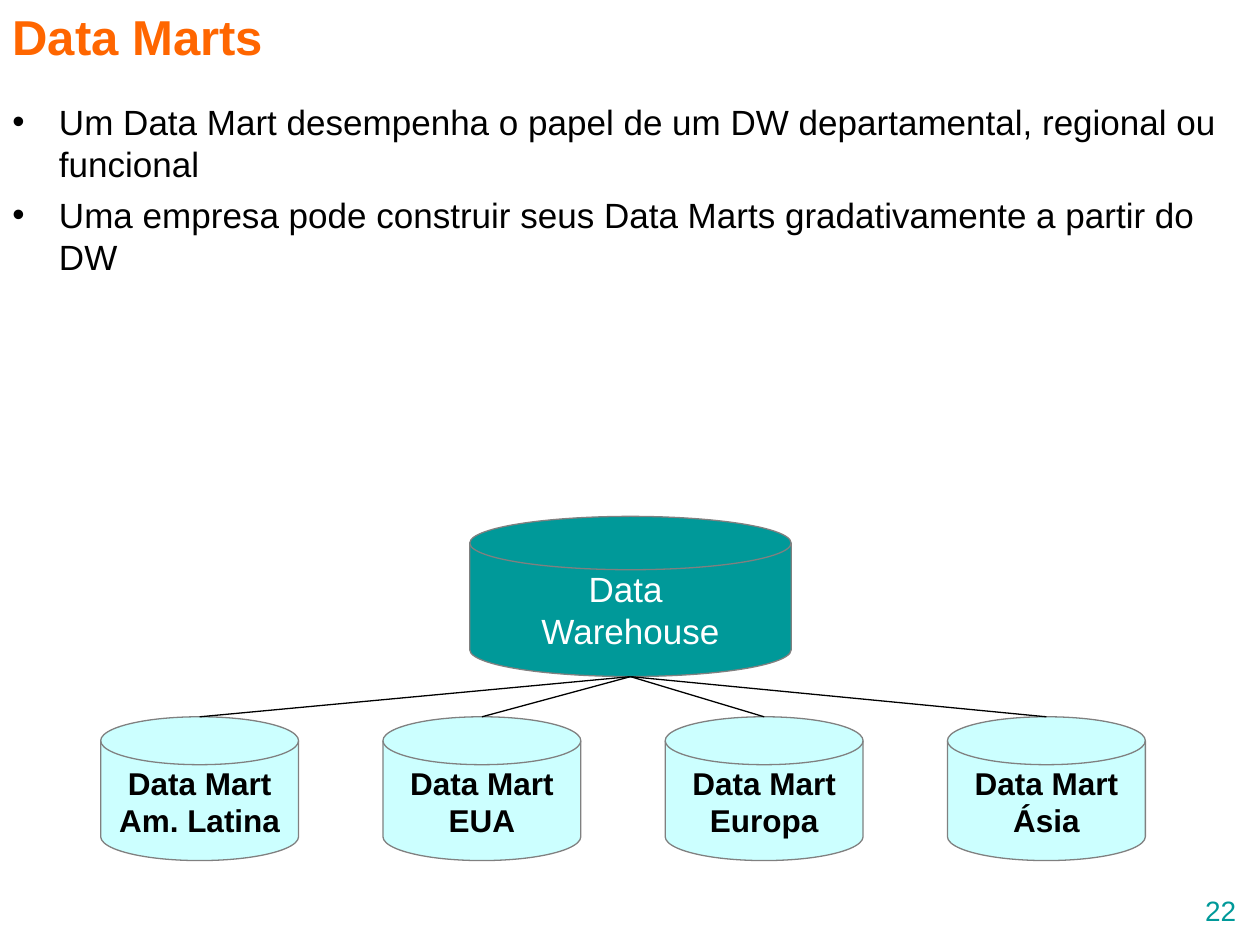
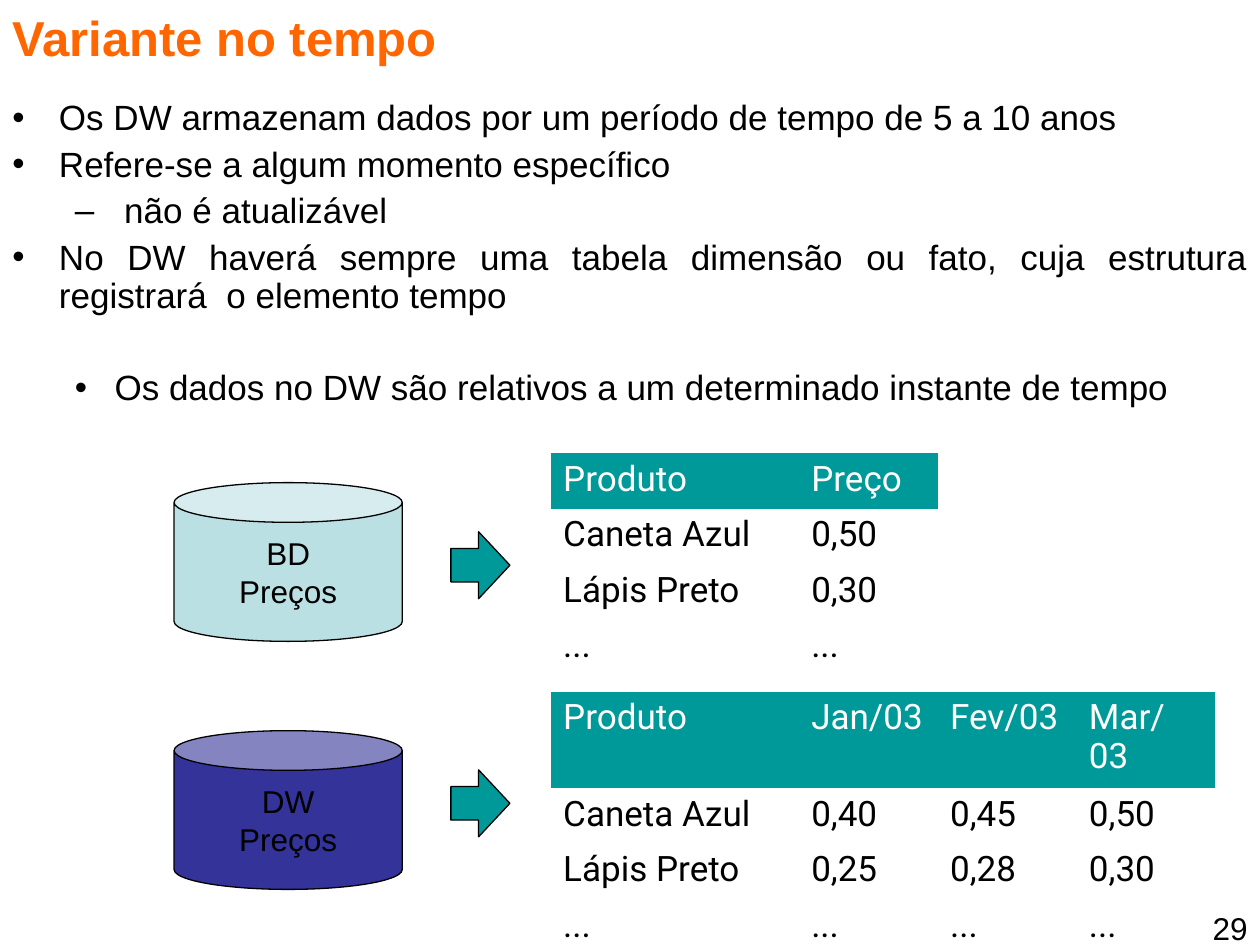
"""Build two slides on data marts and time-variant data warehouses."""
from lxml import etree
from pptx import Presentation
from pptx import util as u
from pptx.dml.color import RGBColor
from pptx.enum import shapes, text
from pptx.oxml.ns import qn

ORANGE, TEAL, BLACK, WHITE, GREY = "FF6600", "009999", "000000", "FFFFFF", "808080"
PALE, LIGHT, NAVY = "CCFFFF", "BBE0E3", "333399"
LEFT, CENTER, RIGHT, JUSTIFY = (text.PP_ALIGN.LEFT, text.PP_ALIGN.CENTER,
                                text.PP_ALIGN.RIGHT, text.PP_ALIGN.JUSTIFY)
DISK = shapes.MSO_SHAPE.FLOWCHART_MAGNETIC_DISK
CAN, ARROW = shapes.MSO_SHAPE.CAN, shapes.MSO_SHAPE.RIGHT_ARROW
PLAIN_TABLE = "{2D5ABB26-0587-4C30-8999-92F81FD0307C}"

TITLE = dict(name="Arial", size=28, color=ORANGE, bold=True)
BODY = dict(name="Arial", size=20, color=BLACK, bold=False)
CELL = dict(BODY, name="Roboto")
LABEL = dict(BODY, size=18)
BULLETS = {"•": (0.94, -0.94), "–": (2.06, -0.8), "••": (2.06, -0.8)}

MART_POINTS = [
    ("•", "Um Data Mart desempenha o papel de um DW departamental, regional ou funcional", 5),
    ("•", "Uma empresa pode construir seus Data Marts gradativamente a partir do DW", 5),
]
REGIONS = ["Am. Latina", "EUA", "Europa", "Ásia"]
TIME_POINTS = [
    ("•", "Os DW armazenam dados por um período de tempo de 5 a 10 anos", 5),
    ("•", "Refere-se a algum momento específico", 5),
    ("–", " não é atualizável", 5),
    ("•", "No DW haverá sempre uma tabela dimensão ou fato, cuja estrutura "
          "registrará  o elemento tempo", 5),
    ("••", "Os dados no DW são relativos a um determinado instante de tempo", 31.5),
]
PRICES = [
    ("Produto", "Preço"),
    ("Caneta Azul", "0,50"),
    ("Lápis Preto", "0,30"),
    ("...", "..."),
]
PRICE_HISTORY = [
    ("Produto", "Jan/03", "Fev/03", "Mar/03"),
    ("Caneta Azul", "0,40", "0,45", "0,50"),
    ("Lápis Preto", "0,25", "0,28", "0,30"),
    ("...", "...", "...", "..."),
]
STORES = [
    dict(label="BD\nPreços", fill=LIGHT, can=9.73, arrow=10.72, table=9.14,
         rows=PRICES, header=1.12),
    dict(label="DW\nPreços", fill=NAVY, can=14.73, arrow=15.52, table=13.94,
         rows=PRICE_HISTORY, header=1.95),
]


def rgb(value):
    return RGBColor.from_string(value)


def cm(*values):
    return [u.Cm(v) for v in values]


def write(p, words, style, **layout):
    p.text = words
    for key, value in layout.items():
        setattr(p, key, value)
    for r in p.runs:
        r.font.name, r.font.size = style["name"], u.Pt(style["size"])
        r.font.bold, r.font.color.rgb = style["bold"], rgb(style["color"])


def set_frame(tf, **values):
    for key, value in values.items():
        setattr(tf, key, value)


def add_title(prs, words, box):
    s = prs.slides.add_slide(prs.slide_layouts[5])
    sp = s.shapes.title
    sp.left, sp.top, sp.width, sp.height = cm(*box)
    set_frame(sp.text_frame, vertical_anchor=text.MSO_ANCHOR.TOP,
              auto_size=text.MSO_AUTO_SIZE.NONE, word_wrap=True)
    write(sp.text_frame.paragraphs[0], words, TITLE, alignment=LEFT)
    return s


def add_text(s, box):
    tf = s.shapes.add_textbox(*cm(*box)).text_frame
    tf.word_wrap = True
    return tf


def add_number(s, words, box, style):
    write(add_text(s, box).paragraphs[0], words, style, alignment=RIGHT)


def add_bullets(s, points, box, **layout):
    tf = add_text(s, box)
    for i, (mark, words, before) in enumerate(points):
        p = tf.add_paragraph() if i else tf.paragraphs[0]
        write(p, words, BODY, space_before=u.Pt(before), **layout)
        pPr = p._p.get_or_add_pPr()
        for key, value in zip(("marL", "indent"), BULLETS[mark]):
            pPr.set(key, str(u.Cm(value)))
        etree.SubElement(pPr, qn("a:buFont")).set("typeface", "Arial")
        etree.SubElement(pPr, qn("a:buChar")).set("char", mark[0])


def add_solid(s, kind, box, fill, line, words="", style=LABEL, **frame):
    sp = s.shapes.add_shape(kind, *cm(*box))
    sp.shadow.inherit = False
    sp.fill.solid()
    sp.fill.fore_color.rgb = rgb(fill)
    sp.line.color.rgb, sp.line.width = rgb(line), u.Pt(0.75)
    if words:
        set_frame(sp.text_frame, vertical_anchor=text.MSO_ANCHOR.MIDDLE, **frame)
        write(sp.text_frame.paragraphs[0], words, style, alignment=CENTER)
    return sp


def add_link(s, start, end):
    link = s.shapes.add_connector(shapes.MSO_CONNECTOR.STRAIGHT, *cm(*start, *end))
    link.line.color.rgb, link.line.width = rgb(BLACK), u.Pt(0.75)
    etree.SubElement(link._element.spPr, qn("a:effectLst"))


def add_prices(s, rows, left, top, header):
    widths = [5] + [2.8] * (len(rows[0]) - 1)
    heights = [header] + [1.12] * (len(rows) - 1)
    frame = s.shapes.add_table(len(rows), len(widths),
                               *cm(left, top, sum(widths), sum(heights)))
    table = frame.table
    table.first_row = table.horz_banding = False
    next(frame._element.iter(qn("a:tableStyleId"))).text = PLAIN_TABLE
    for column, width in zip(table.columns, widths):
        column.width = u.Cm(width)
    for i, (row, height) in enumerate(zip(rows, heights)):
        table.rows[i].height = u.Cm(height)
        for j, words in enumerate(row):
            cell = table.cell(i, j)
            if i:
                cell.fill.background()
            else:
                cell.fill.solid()
                cell.fill.fore_color.rgb = rgb(TEAL)
            write(cell.text_frame.paragraphs[0], words,
                  dict(CELL, color=BLACK if i else WHITE),
                  line_spacing=0.96, space_before=u.Pt(5))


def build_marts(prs):
    s = add_title(prs, "Data Marts", (0, 0, 25.4, 1.9))
    add_bullets(s, MART_POINTS, (0, 1.9, 25.4, 16.51))
    left, top, width, height = 9.47, 10.41, 6.48, 3.23
    add_solid(s, DISK, (left, top, width, height), TEAL, GREY, "Data \nWarehouse",
              dict(BODY, color=WHITE), word_wrap=False)
    hub = left + width / 2, top + height
    mart_top, mart_width = 14.45, 3.99
    for i, region in enumerate(REGIONS):
        mart_left = 2.03 + i * 5.69
        add_solid(s, DISK, (mart_left, mart_top, mart_width, 2.9), PALE, GREY,
                  f"Data Mart {region}", dict(LABEL, bold=True), word_wrap=True,
                  margin_left=u.Cm(0.15), margin_right=u.Cm(0.15),
                  margin_top=u.Cm(0.03), margin_bottom=0)
        add_link(s, hub, (mart_left + mart_width / 2, mart_top))
    add_number(s, "22", (19.25, 17.88, 5.92, 1.32), dict(BODY, size=16, color=TEAL))


def build_time(prs):
    s = add_title(prs, "Variante no tempo", (0, 0.03, 21.64, 1.68))
    add_number(s, "29", (20.12, 18.21, 5.28, 1.27), LABEL)
    add_bullets(s, TIME_POINTS, (0, 1.9, 25.4, 11.43), alignment=JUSTIFY, line_spacing=0.9)
    for store in STORES:
        add_solid(s, CAN, (3.51, store["can"], 4.6, 3.2), store["fill"], BLACK,
                  store["label"], word_wrap=False)
        arrow = add_solid(s, ARROW, (9.09, store["arrow"], 1.19, 1.35), TEAL, BLACK)
        arrow.adjustments[0], arrow.adjustments[1] = 0.5, 0.53
        add_prices(s, store["rows"], 11.1, store["table"], store["header"])


def main():
    prs = Presentation()
    prs.slide_width, prs.slide_height = cm(25.4, 19.05)
    build_marts(prs)
    build_time(prs)
    prs.save("out.pptx")


if __name__ == "__main__":
    main()
